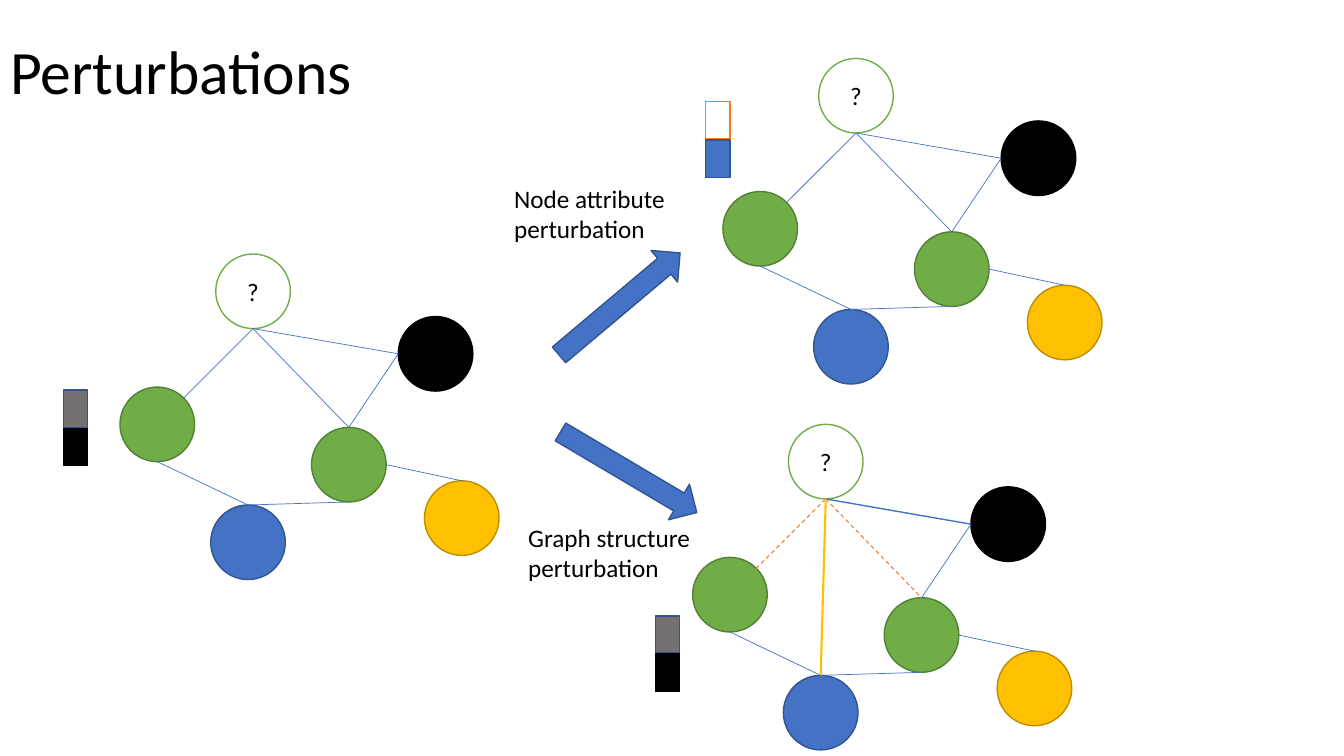
from dataclasses import dataclass

from lxml import etree
from pptx import Presentation
from pptx.dml.color import RGBColor
from pptx.enum.dml import MSO_LINE
from pptx.enum.shapes import MSO_CONNECTOR, MSO_SHAPE
from pptx.enum.text import MSO_ANCHOR, MSO_AUTO_SIZE, PP_ALIGN
from pptx.oxml.ns import qn
from pptx.util import Inches, Pt

CIRCLE, BOX, ARROW = MSO_SHAPE.OVAL, MSO_SHAPE.RECTANGLE, MSO_SHAPE.RIGHT_ARROW
STRAIGHT, DASH = MSO_CONNECTOR.STRAIGHT, MSO_LINE.DASH
MIDDLE, LEFT, CENTER = MSO_ANCHOR.MIDDLE, PP_ALIGN.LEFT, PP_ALIGN.CENTER
NO_FIT, GROW = MSO_AUTO_SIZE.NONE, MSO_AUTO_SIZE.SHAPE_TO_FIT_TEXT
TITLE_ONLY = 5


@dataclass(frozen=True)
class Theme:
    font: str = "Calibri"
    title_size: int = 44
    text_size: int = 18
    outline: float = 1
    text: str = "000000"
    edge: str = "4472C4"
    removed: str = "ED7D31"
    added: str = "FFC000"
    # Fill and outline pairs
    target: tuple = ("FFFFFF", "70AD47")
    green: tuple = ("70AD47", "538035")
    blue: tuple = ("4472C4", "325491")
    black: tuple = ("000000", "000000")
    yellow: tuple = ("FFC000", "BD8E00")
    grey: tuple = ("767171", "325491")
    cleared: tuple = ("FFFFFF", "ED7D31")


THEME = Theme()
NODE_SIZE = 0.74

# Node offsets from the left and top of each graph
NODES = {
    "target": (0.95, 0, THEME.target),
    "blue": (0.9, 2.49, THEME.blue),
    "black": (2.76, 0.62, THEME.black),
    "yellow": (3.02, 2.25, THEME.yellow),
    "left green": (0, 1.32, THEME.green),
    "right green": (1.9, 1.72, THEME.green),
}

# Points on a node's rim, as fractions of its size
RIM = {
    "top": (0.5, 0),
    "left": (0, 0.5),
    "bottom": (0.5, 1),
    "right": (1, 0.5),
    "top right": (0.85, 0.15),
}

TARGET_LEFT = (("left green", "top right"), ("target", "bottom"))
TARGET_RIGHT = (("target", "bottom"), ("right green", "top"))
TARGET_BLACK = (("target", "bottom"), ("black", "left"))
TARGET_BLUE = (("blue", "top"), ("target", "bottom"))
EDGES = (
    TARGET_LEFT,
    TARGET_RIGHT,
    (("left green", "bottom"), ("blue", "top")),
    (("right green", "bottom"), ("blue", "top")),
    (("right green", "right"), ("yellow", "top")),
    (("right green", "top"), ("black", "left")),
    TARGET_BLACK,
)

# Edge styles: colour, width, dash
PLAIN_EDGE = (THEME.edge, 0.5, None)
STRONG_EDGE = (THEME.edge, 1, None)
REMOVED_EDGE = (THEME.removed, 0.75, DASH)
ADDED_EDGE = (THEME.added, 1.5, None)


def format_text(frame, size, align):
    for paragraph in frame.paragraphs:
        paragraph.alignment = align
        for run in paragraph.runs:
            run.font.name = THEME.font
            run.font.size = Pt(size)
            run.font.color.rgb = RGBColor.from_string(THEME.text)


def add_block(slide, kind, left, top, width, height, colors):
    block = slide.shapes.add_shape(
        kind, Inches(left), Inches(top), Inches(width), Inches(height))
    fill, outline = colors
    block.shadow.inherit = False
    block.fill.solid()
    block.fill.fore_color.rgb = RGBColor.from_string(fill)
    block.line.color.rgb = RGBColor.from_string(outline)
    block.line.width = Pt(THEME.outline)
    return block


def add_edge(slide, start, end, style):
    edge = slide.shapes.add_connector(
        STRAIGHT, *(Inches(value) for value in (*start, *end)))
    color, width, dash = style
    edge.line.color.rgb = RGBColor.from_string(color)
    edge.line.width = Pt(width)
    if dash:
        edge.line.dash_style = dash
    etree.SubElement(edge._element.spPr, qn("a:effectLst"))


def rim_point(left, top, node, side):
    dx, dy, _ = NODES[node]
    fx, fy = RIM[side]
    return left + dx + fx * NODE_SIZE, top + dy + fy * NODE_SIZE


def add_graph(slide, left, top, changed=None):
    """Draw the nodes and edges; changed maps edges to their new styles."""
    for node, (dx, dy, colors) in NODES.items():
        circle = add_block(slide, CIRCLE, left + dx, top + dy,
                           NODE_SIZE, NODE_SIZE, colors)
        if node == "target":
            frame = circle.text_frame
            frame.text = "?"
            frame.vertical_anchor = MIDDLE
            format_text(frame, THEME.text_size, CENTER)
    styles = dict.fromkeys(EDGES, PLAIN_EDGE) | (changed or {})
    for (start, end), style in styles.items():
        add_edge(slide, rim_point(left, top, *start),
                 rim_point(left, top, *end), style)


def add_attributes(slide, left, top, upper, lower):
    for row, colors in enumerate((upper, lower)):
        add_block(slide, BOX, left, top + 0.38 * row, 0.24, 0.37, colors)


def add_arrow(slide, left, top, angle):
    arrow = add_block(slide, ARROW, left, top, 1.57, 0.41, THEME.blue)
    arrow.rotation = angle


def add_label(slide, left, top, text):
    label = slide.shapes.add_textbox(
        Inches(left), Inches(top), Inches(2.31), Inches(0.71))
    frame = label.text_frame
    frame.word_wrap = True
    frame.auto_size = GROW
    frame.text = text
    format_text(frame, THEME.text_size, LEFT)


def set_title(slide, text):
    title = slide.shapes.title
    title.left, title.top = Inches(0), Inches(0.01)
    title.width, title.height = Inches(11.5), Inches(1.45)
    frame = title.text_frame
    frame.text = text
    frame.auto_size = NO_FIT
    frame.vertical_anchor = MIDDLE
    frame.paragraphs[0].line_spacing = 0.9
    format_text(frame, THEME.title_size, LEFT)


def main():
    deck = Presentation()
    deck.slide_width, deck.slide_height = Inches(13.33), Inches(7.5)
    slide = deck.slides.add_slide(deck.slide_layouts[TITLE_ONLY])
    set_title(slide, "Perturbations")

    # Starting graph
    add_graph(slide, 1.19, 2.52)
    add_attributes(slide, 0.63, 3.87, THEME.grey, THEME.black)

    # Node attribute perturbation
    add_arrow(slide, 5.36, 2.81, 319.9)
    add_label(slide, 5, 1.77, "Node attribute\nperturbation")
    add_graph(slide, 7.17, 0.58)
    add_attributes(slide, 7, 1.01, THEME.cleared, THEME.blue)

    # Graph structure perturbation
    add_arrow(slide, 5.45, 4.48, 30.6)
    add_label(slide, 5.14, 5.13, "Graph structure\nperturbation")
    add_graph(slide, 6.87, 4.21, {
        TARGET_LEFT: REMOVED_EDGE,
        TARGET_RIGHT: REMOVED_EDGE,
        TARGET_BLACK: STRONG_EDGE,
        TARGET_BLUE: ADDED_EDGE,
    })
    add_attributes(slide, 6.5, 6.11, THEME.grey, THEME.black)

    deck.save("out.pptx")


if __name__ == "__main__":
    main()
